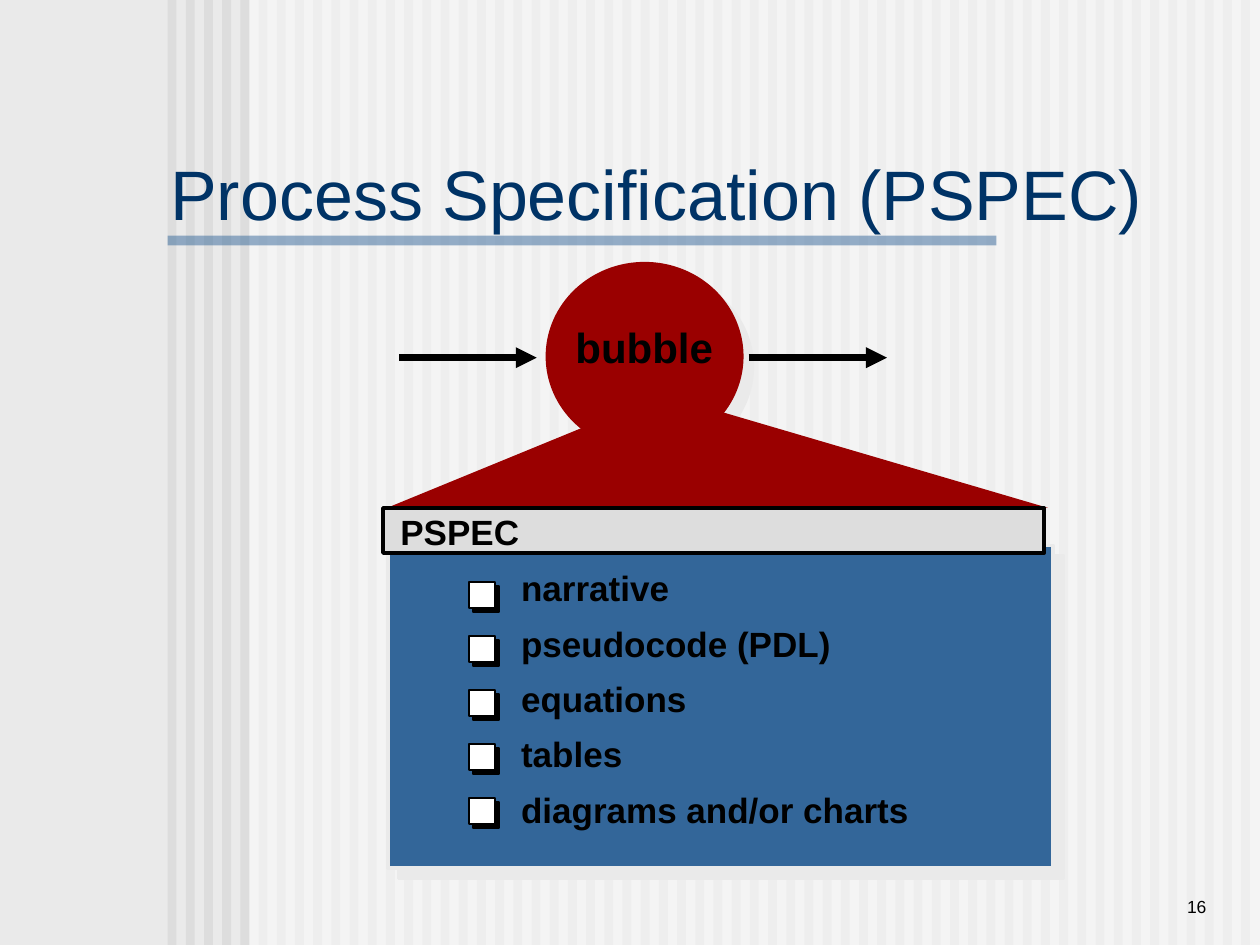
from lxml.etree import SubElement
from pptx import Presentation
from pptx.dml.color import RGBColor
from pptx.enum.shapes import MSO_CONNECTOR, MSO_SHAPE
from pptx.enum.text import MSO_ANCHOR, MSO_AUTO_SIZE, PP_ALIGN
from pptx.oxml.ns import qn
from pptx.util import Cm, Pt

BLACK, WHITE = "000000", "FFFFFF"
NAVY, BLUE, RED = "003366", "336699", "9A0000"
PALE, GREY = "EAEAEA", "DDDDDD"

STRIPE_COUNT = 60
STRIPE_LEFT, STRIPE_PITCH = 3.38, 21.64 / 59
BULLET_LEFT, BULLET_TOP, BULLET_PITCH = 9.45, 11.73, 1.09
BULLET_SIZE, BULLET_SHADOW = 0.53, 0.08
METHODS = ["narrative", "pseudocode (PDL)", "equations", "tables",
           "diagrams and/or charts"]


def color(hex_string):
    return RGBColor.from_string(hex_string)


def set_attributes(target, values):
    for name, value in values.items():
        setattr(target, name, value)


def place(shape, left, top, width, height):
    set_attributes(shape, {"left": Cm(left), "top": Cm(top),
                           "width": Cm(width), "height": Cm(height)})


def style_shape(shape, fill, line=None, line_width=1, opacity=None):
    """Give a shape a flat fill and an optional outline."""
    shape.shadow.inherit = False
    shape.fill.solid()
    shape.fill.fore_color.rgb = color(fill)
    if opacity is not None:
        fill_color = shape.element.spPr.find(qn("a:solidFill"))[0]
        SubElement(fill_color, qn("a:alpha"), val=str(opacity * 1000))
    if line:
        shape.line.color.rgb = color(line)
        shape.line.width = Pt(line_width)
    else:
        shape.line.fill.background()


def add_block(shapes, box, fill, kind=MSO_SHAPE.RECTANGLE, **style):
    shape = shapes.add_shape(kind, *(Cm(value) for value in box))
    style_shape(shape, fill, **style)
    return shape


def add_drop_shadow(shape):
    effects = shape.element.spPr.find(qn("a:effectLst"))
    shadow = SubElement(effects, qn("a:outerShdw"), dist=str(Pt(8.5)),
                        dir="2700000", algn="ctr", rotWithShape="0")
    SubElement(shadow, qn("a:srgbClr"), val=PALE)


def add_arrow(slide, start, end, y):
    connector = slide.shapes.add_connector(
        MSO_CONNECTOR.STRAIGHT, Cm(start), Cm(y), Cm(end), Cm(y))
    connector.line.color.rgb = color(BLACK)
    connector.line.width = Pt(4)
    properties = connector.element.spPr
    SubElement(properties.find(qn("a:ln")), qn("a:tailEnd"), type="triangle")
    SubElement(properties, qn("a:effectLst"))


def format_paragraph(paragraph, text, size, font_color=BLACK, bold=False,
                     align=PP_ALIGN.LEFT, space_after=0):
    paragraph.text = text
    set_attributes(paragraph, {"alignment": align, "space_before": Pt(0),
                               "space_after": Pt(space_after)})
    set_attributes(paragraph.font, {"name": "Arial", "size": Pt(size),
                                    "bold": bold})
    paragraph.font.color.rgb = color(font_color)


def add_label(slide, box, text, size, frame_format=None, **text_format):
    shape = slide.shapes.add_textbox(*(Cm(value) for value in box))
    set_attributes(shape.text_frame, frame_format or {
        "word_wrap": False, "auto_size": MSO_AUTO_SIZE.SHAPE_TO_FIT_TEXT})
    format_paragraph(shape.text_frame.paragraphs[0], text, size, **text_format)


def fill_placeholder(slide, placeholder, box, lines, anchor, **text_format):
    """Move a placeholder to the front and write its lines without bullets."""
    slide.shapes.element.append(placeholder.element)
    place(placeholder, *box)
    frame = placeholder.text_frame
    set_attributes(frame, {"word_wrap": True, "vertical_anchor": anchor,
                           "auto_size": MSO_AUTO_SIZE.NONE})
    for index, line in enumerate(lines):
        paragraph = frame.add_paragraph() if index else frame.paragraphs[0]
        format_paragraph(paragraph, line, **text_format)
        properties = paragraph.element.get_or_add_pPr() if hasattr(
            paragraph, "element") else paragraph._p.get_or_add_pPr()
        set_indent_free(properties)


def set_indent_free(properties):
    properties.set("marL", "0")
    properties.set("indent", "0")
    no_bullet = SubElement(properties, qn("a:buNone"))
    defaults = properties.find(qn("a:defRPr"))
    if defaults is not None:
        defaults.addprevious(no_bullet)


def add_backdrop(slide):
    """Build the striped backdrop and hand it to the layout."""
    slide.background.fill.solid()
    slide.background.fill.fore_color.rgb = color(PALE)
    group = slide.shapes.add_group_shape()
    for index in range(STRIPE_COUNT):
        left = STRIPE_LEFT + index * STRIPE_PITCH
        add_block(group.shapes, (left, 0, 0.18, 19.05), GREY)
    add_block(group.shapes, (5.03, 0, 20.37, 19.05), WHITE, opacity=50)
    add_block(group.shapes, (3.38, 4.75, 16.71, 0.2), BLUE, opacity=50)
    slide.slide_layout.shapes.element.append(group.element)


def add_bullet_box(slide, top):
    group = slide.shapes.add_group_shape()
    for offset, fill in ((BULLET_SHADOW, BLACK), (0, WHITE)):
        box = (BULLET_LEFT + offset, top + offset, BULLET_SIZE, BULLET_SIZE)
        add_block(group.shapes, box, fill, line=BLACK)


def add_beam(slide):
    """Draw the wedge that opens from the bubble to the PSPEC header."""
    points = [(13.31, 7.98), (7.8, 10.24), (21.13, 10.24), (13.44, 7.98)]
    corners = [(Cm(x), Cm(y)) for x, y in points]
    builder = slide.shapes.build_freeform(*corners[0])
    builder.add_line_segments(corners[1:], close=True)
    style_shape(builder.convert_to_shape(), RED)


def main():
    presentation = Presentation()
    presentation.slide_width, presentation.slide_height = Cm(25.4), Cm(19.05)
    slide = presentation.slides.add_slide(presentation.slide_layouts[1])
    title, body = slide.placeholders
    add_backdrop(slide)

    # Specification panel, bubble and header
    panel = add_block(slide.shapes, (7.82, 11, 13.41, 6.5), BLUE,
                      line=PALE, line_width=2)
    bubble = add_block(slide.shapes, (11, 5.28, 3.99, 3.81), RED,
                       kind=MSO_SHAPE.OVAL)
    for shape in (panel, bubble):
        add_drop_shadow(shape)
    add_beam(slide)
    add_block(slide.shapes, (7.72, 10.24, 13.33, 0.91), GREY,
              line=BLACK, line_width=2)

    # Title and list of methods
    fill_placeholder(slide, title, (3.18, 3.38, 20.14, 0.99),
                     ["Process Specification (PSPEC)"], MSO_ANCHOR.MIDDLE,
                     size=40, font_color=NAVY)
    fill_placeholder(slide, body, (10.25, 11.3, 9, 5.41), METHODS,
                     MSO_ANCHOR.TOP, size=20, bold=True, space_after=7.6)
    for index in range(len(METHODS)):
        add_bullet_box(slide, BULLET_TOP + index * BULLET_PITCH)

    # Flow through the bubble
    for start, end in ((8.05, 10.82), (15.09, 17.88)):
        add_arrow(slide, start, end, 7.21)

    # Labels and page number
    add_label(slide, (7.82, 10.16, 2.9, 1.09), "PSPEC", 20, bold=True)
    add_label(slide, (11.35, 6.35, 3.28, 1.27), "bubble", 24, bold=True)
    add_label(slide, (20.96, 17.35, 3.61, 1.27), "16", 10,
              {"word_wrap": True, "vertical_anchor": MSO_ANCHOR.BOTTOM},
              align=PP_ALIGN.RIGHT)

    presentation.save("out.pptx")


if __name__ == "__main__":
    main()
